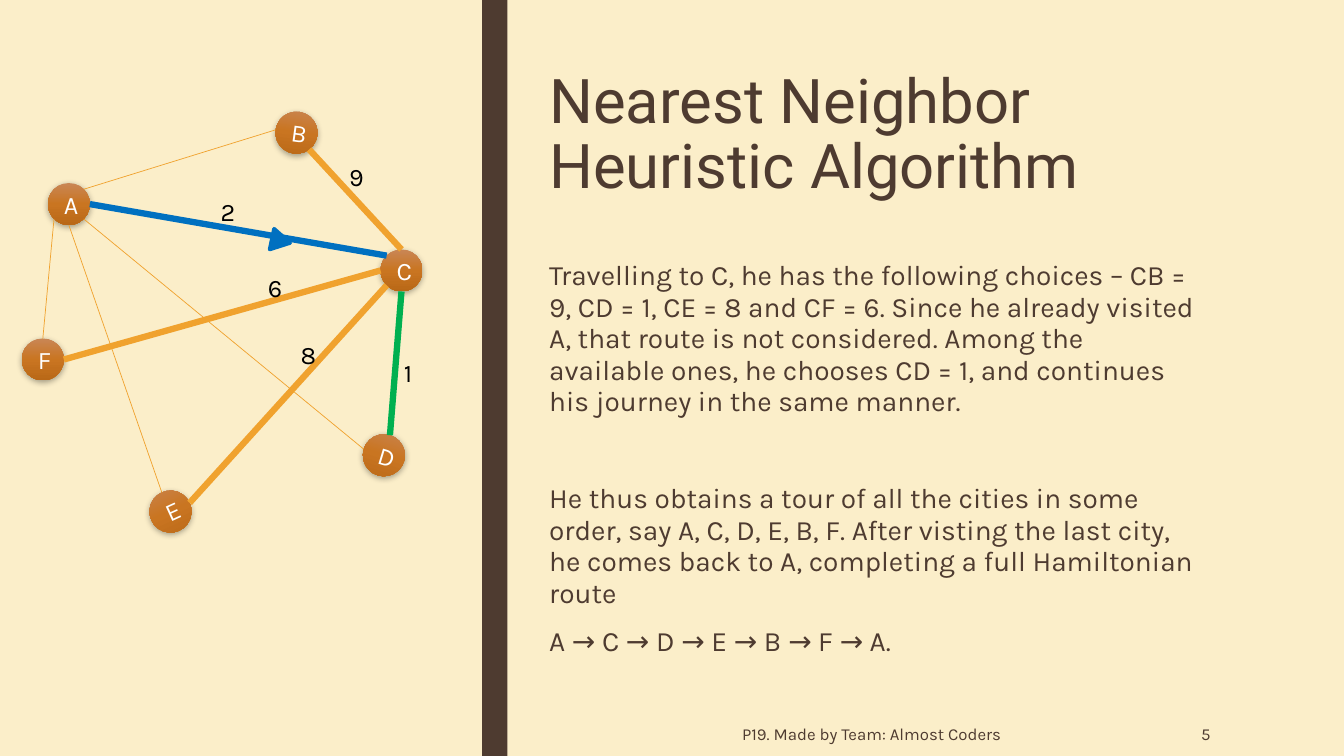
from collections import namedtuple
from math import cos, radians, sin

from lxml import etree
from pptx import Presentation
from pptx.dml.color import RGBColor
from pptx.enum.shapes import MSO_CONNECTOR, MSO_SHAPE
from pptx.enum.text import MSO_ANCHOR, MSO_AUTO_SIZE, PP_ALIGN
from pptx.oxml import parse_xml
from pptx.oxml.ns import nsdecls, qn
from pptx.util import Pt

Box = namedtuple("Box", "left top width height")
Node = namedtuple("Node", "x y rotation")

CELL = Pt(6)
COLUMNS, ROWS = 160, 90

CREAM = RGBColor(0xFB, 0xEE, 0xC9)
BROWN = RGBColor(0x4E, 0x3B, 0x30)
ORANGE = RGBColor(0xF0, 0xA2, 0x2E)
BLUE = RGBColor(0x00, 0x70, 0xC0)
GREEN = RGBColor(0x00, 0xB0, 0x50)
BLACK = RGBColor(0x00, 0x00, 0x00)
WHITE = RGBColor(0xFF, 0xFF, 0xFF)
NODE_STOPS = [
    (0, RGBColor(0xC9, 0x86, 0x55)),
    (50, RGBColor(0xC9, 0x75, 0x21)),
    (100, RGBColor(0xB9, 0x68, 0x17)),
]

LEFT, CENTER, RIGHT = PP_ALIGN.LEFT, PP_ALIGN.CENTER, PP_ALIGN.RIGHT
TOP, MIDDLE = MSO_ANCHOR.TOP, MSO_ANCHOR.MIDDLE
NO_AUTOFIT = MSO_AUTO_SIZE.NONE
RECTANGLE, OVAL = MSO_SHAPE.RECTANGLE, MSO_SHAPE.OVAL
TRIANGLE = MSO_SHAPE.ISOSCELES_TRIANGLE
STRAIGHT = MSO_CONNECTOR.STRAIGHT

BODY_FONT, TITLE_FONT = "Karla", "Roboto"
THIN, THICK = 0.5, 4.5
NODE_SIZE = 5

NODES = {
    "A": Node(8.2, 24.3, 0),
    "E": Node(20.3, 60.9, 335.5),
    "D": Node(45.7, 54.2, 16.9),
    "C": Node(47.8, 32.2, 0),
    "B": Node(35.3, 15.8, 7.9),
    "F": Node(5.1, 42.8, 0),
}
EDGES = [
    ("A", 4, "E", 0, ORANGE, THIN),
    ("A", 7, "B", 2, ORANGE, THIN),
    ("A", 6, "C", 1, BLUE, THICK),
    ("A", 5, "D", 2, ORANGE, THIN),
    ("A", 3, "F", 0, ORANGE, THIN),
    ("C", 4, "D", 0, GREEN, THICK),
    ("C", 3, "E", 6, ORANGE, THICK),
    ("C", 2, "F", 6, ORANGE, THICK),
    ("C", 0, "B", 5, ORANGE, THICK),
]
WEIGHTS = [
    ("2", 25.1, 22.8),
    ("9", 40.4, 18.6),
    ("6", 30.7, 31.8),
    ("1", 46.9, 42),
    ("8", 34.6, 39.8),
]
BODY = [
    ("Travelling to C, he has the following choices – CB = 9, CD = 1, CE = 8 "
     "and CF = 6. Since he already visited A, that route is not considered. "
     "Among the available ones, he chooses CD = 1, and continues his journey "
     "in the same manner.", 0),
    ("He thus obtains a tour of all the cities in some order, say A, C, D, E, "
     "B, F. After visting the last city, he comes back to A, completing a full "
     "Hamiltonian route", 44.5),
    ("A → C → D → E → B → F → A.", 10),
]


def to_emu(box):
    return [round(value * CELL) for value in box]


def write(paragraph, text, size, color, font=BODY_FONT, align=LEFT):
    paragraph.alignment = align
    run = paragraph.add_run()
    run.text = text
    run.font.size = Pt(size)
    run.font.name = font
    run.font.color.rgb = color


def add_label(slide, box, text, size, color, align=LEFT, anchor=TOP):
    frame = slide.shapes.add_textbox(*to_emu(box)).text_frame
    frame.word_wrap = True
    frame.vertical_anchor = anchor
    write(frame.paragraphs[0], text, size, color, align=align)


def add_solid(slide, kind, box, color):
    shape = slide.shapes.add_shape(kind, *to_emu(box))
    shape.shadow.inherit = False
    shape.fill.solid()
    shape.fill.fore_color.rgb = color
    shape.line.fill.background()
    return shape


def style_node(shape):
    stops = "".join(
        f'<a:gs pos="{position * 1000}"><a:srgbClr val="{color}"/></a:gs>'
        for position, color in NODE_STOPS)
    gradient = parse_xml(
        f'<a:gradFill {nsdecls("a")} rotWithShape="1"><a:gsLst>{stops}</a:gsLst>'
        '<a:lin ang="5400000" scaled="0"/></a:gradFill>')
    properties = shape._element.spPr
    solid = properties.find(qn("a:solidFill"))
    properties.replace(solid, gradient)
    effects = properties.find(qn("a:effectLst"))
    effects.append(parse_xml(
        f'<a:outerShdw {nsdecls("a")} blurRad="{Pt(4.5)}" dist="{Pt(1.5)}" '
        'dir="5400000" algn="ctr" rotWithShape="0"><a:srgbClr val="000000">'
        '<a:alpha val="35000"/></a:srgbClr></a:outerShdw>'))


def add_node(slide, box, name, node):
    corner_x = box.left + node.x - NODE_SIZE / 2
    corner_y = box.top + node.y - NODE_SIZE / 2
    circle = Box(corner_x, corner_y, NODE_SIZE, NODE_SIZE)
    shape = add_solid(slide, OVAL, circle, NODE_STOPS[1][1])
    style_node(shape)
    shape.rotation = node.rotation
    shape.text_frame.vertical_anchor = MIDDLE
    write(shape.text_frame.paragraphs[0], name, 18, WHITE, align=CENTER)


def rim_point(box, name, site):
    node = NODES[name]
    angle = radians(45 * site - node.rotation)
    radius = NODE_SIZE / 2
    return to_emu((box.left + node.x - radius * sin(angle),
                   box.top + node.y - radius * cos(angle)))


def add_edge(slide, box, start, start_site, end, end_site, color, width):
    connector = slide.shapes.add_connector(
        STRAIGHT, *rim_point(box, start, start_site), *rim_point(box, end, end_site))
    connector.line.color.rgb = color
    connector.line.width = Pt(width)
    etree.SubElement(connector._element.spPr, qn("a:effectLst"))


def add_graph(slide, box):
    for name, node in NODES.items():
        add_node(slide, box, name, node)
    for edge in EDGES:
        add_edge(slide, box, *edge)
    for weight, x, y in WEIGHTS:
        add_label(slide, Box(box.left + x, box.top + y, 5, 4.8), weight, 18, BLACK)
    arrow_box = Box(box.left + 32.2, box.top + 27.6, 2.5, 2.2)
    arrow = add_solid(slide, TRIANGLE, arrow_box, BLUE)
    arrow.rotation = 102
    arrow.line.color.rgb = BLUE
    arrow.line.width = Pt(2.75)


def add_title(slide, box):
    title = slide.shapes.title
    title.left, title.top, title.width, title.height = to_emu(box)
    frame = title.text_frame
    frame.auto_size = NO_AUTOFIT
    frame.word_wrap = True
    frame.vertical_anchor = TOP
    frame.paragraphs[0].line_spacing = 0.89
    write(frame.paragraphs[0], "Nearest Neighbor Heuristic Algorithm", 44, BROWN, TITLE_FONT)


def add_body(slide, box):
    frame = slide.shapes.add_textbox(*to_emu(box)).text_frame
    frame.word_wrap = True
    for index, (text, space_before) in enumerate(BODY):
        paragraph = frame.add_paragraph() if index else frame.paragraphs[0]
        paragraph.line_spacing = 0.94
        paragraph.space_before = Pt(space_before)
        paragraph.space_after = Pt(2)
        write(paragraph, text, 20, BROWN)


def add_footer(slide, box):
    add_label(slide, Box(box.left, box.top, 82.4, box.height),
              "P19. Made by Team: Almost Coders", 12, BROWN, RIGHT, MIDDLE)
    add_label(slide, Box(box.left + box.width - 21, box.top, 21, box.height),
              "5", 12, BROWN, RIGHT, MIDDLE)


def main():
    presentation = Presentation()
    presentation.slide_width = COLUMNS * CELL
    presentation.slide_height = ROWS * CELL
    slide = presentation.slides.add_slide(presentation.slide_layouts[5])
    slide.background.fill.solid()
    slide.background.fill.fore_color.rgb = CREAM
    add_solid(slide, RECTANGLE, Box(57.4, 0, 3, ROWS), BROWN)
    add_title(slide, Box(64.2, 7.8, 71.4, 19.2))
    add_body(slide, Box(64.2, 30.4, 79.8, 46.6))
    add_graph(slide, Box(0, 0, 57.4, ROWS))
    add_footer(slide, Box(38, 84.7, 107.3, 5.3))
    presentation.save("out.pptx")


if __name__ == "__main__":
    main()
